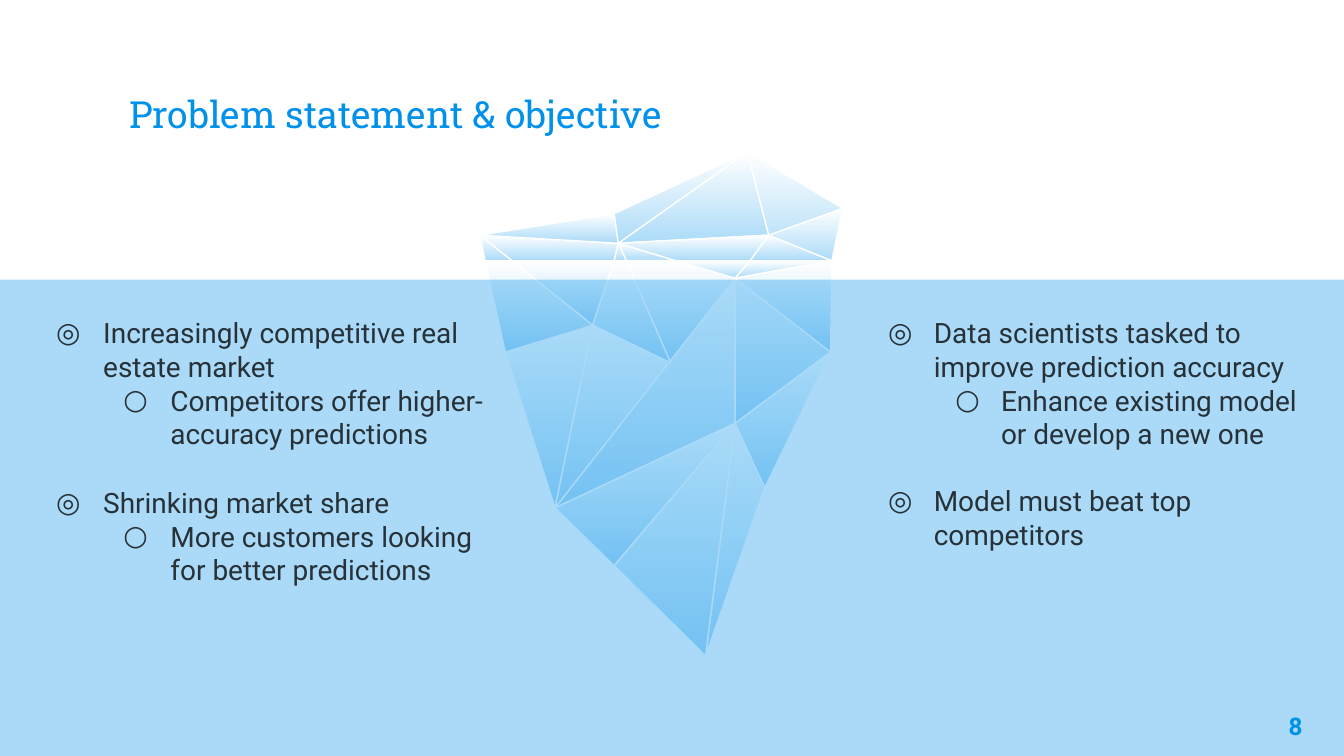
from typing import NamedTuple

from lxml import etree
from pptx import Presentation
from pptx import util as u
from pptx.dml.color import RGBColor
from pptx.enum import shapes, text
from pptx.oxml.ns import qn

# Places are counted in square cells, 1000 to the slide's width.
CELL = u.Inches(0.01)
SLIDE_WIDTH = CELL * 1000
SLIDE_HEIGHT = SLIDE_WIDTH * 9 // 16
WATER_SHARE = 0.63

WHITE = RGBColor(0xFF, 0xFF, 0xFF)
ICE = RGBColor(0xAC, 0xDB, 0xF8)
BLUE = RGBColor(0x00, 0x91, 0xEA)
DARK = RGBColor(0x26, 0x32, 0x38)

BODY_FONT, TITLE_FONT = "Roboto", "Roboto Slab"
BULLETS = ("◎", "○")
WATERLINE = 194


class Area(NamedTuple):
    column: int
    row: int
    columns: int
    rows: int


class Point(NamedTuple):
    column: int
    row: int


class Item(NamedTuple):
    words: str
    level: int = 0
    gap: int = 0


class BulletList(NamedTuple):
    area: Area
    hanging: float
    items: tuple[Item, ...]


POINTS = {
    "peak": Point(556, 113), "east": Point(627, 155), "shoulder": Point(457, 159),
    "west": Point(357, 175), "ridge": Point(572, 175), "crest": Point(460, 181),
    **{f"w{number}": Point(column, WATERLINE)
       for number, column in enumerate((361, 381, 457, 466, 503, 558, 619), 1)},
    "notch": Point(547, 207), "hollow": Point(441, 242), "middle": Point(499, 270),
    "left": Point(376, 262), "right": Point(618, 262), "heart": Point(547, 315),
    "flank": Point(569, 363), "corner": Point(413, 378), "lower": Point(457, 421),
    "tip": Point(525, 488),
}

FACETS = (
    "w7 west w2",
    "peak crest ridge",
    "peak east w7 ridge",
    "west w2 w1",
    "crest w3 w2 west",
    "peak crest west shoulder",
    "ridge w7 w6",
    "w4 crest w5",
    "west w2 w1",
    "shoulder crest west",
    "east ridge w7",
    "w4 crest w3",
    "w7 right heart notch",
    "hollow corner left",
    "w3 hollow w2",
    "heart flank tip",
    "w7 notch w6",
    "middle w4 w5 notch",
    "middle hollow corner",
    "notch corner heart",
    "w2 hollow left w1",
    "w7 notch right",
    "hollow middle w4 w3",
    "corner heart lower",
    "lower tip heart",
    "right flank heart",
    "crest ridge w6 w5",
    "notch w6 w5",
)

LISTS = (
    BulletList(Area(17, 225, 363, 278), 0.35, (
        Item("Increasingly competitive real estate market"),
        Item("Competitors offer higher-accuracy predictions", 1),
        Item("Shrinking market share", gap=19),
        Item("More customers looking for better predictions", 1),
    )),
    BulletList(Area(635, 225, 348, 238), 0.34, (
        Item("Data scientists tasked to improve prediction accuracy"),
        Item("Enhance existing model or develop a new one", 1),
        Item("Model must beat top competitors", gap=18),
    )),
)


def place(shape, area: Area) -> None:
    shape.left, shape.top, shape.width, shape.height = (CELL * cells for cells in area)


def prepare_frame(shape, anchor=text.MSO_ANCHOR.TOP):
    frame = shape.text_frame
    frame.word_wrap = True
    frame.auto_size = text.MSO_AUTO_SIZE.NONE
    frame.vertical_anchor = anchor
    frame.margin_left = frame.margin_right = u.Inches(0.1)
    frame.margin_top = frame.margin_bottom = u.Inches(0.1)
    return frame


def add_run(paragraph, words: str, size: int, color: RGBColor,
            font: str = BODY_FONT, bold: bool = False) -> None:
    run = paragraph.add_run()
    run.text = words
    run.font.name, run.font.size, run.font.bold = font, u.Pt(size), bold
    run.font.color.rgb = color


def add_text_frame(slide, area: Area):
    return prepare_frame(slide.shapes.add_textbox(*(CELL * cells for cells in area)))


def add_facet(group, names: str) -> None:
    start, *rest = (POINTS[name] for name in names.split())
    builder = group.shapes.build_freeform(*start, scale=CELL)
    builder.add_line_segments(rest, close=True)
    facet = builder.convert_to_shape()
    facet.shadow.inherit = False
    facet.fill.gradient()
    facet.fill.gradient_angle = 270
    for stop, position, color in zip(facet.fill.gradient_stops, (0, 1), (WHITE, ICE)):
        stop.position = position
        stop.color.rgb = color
    facet.line.color.rgb = WHITE
    facet.line.width = u.Pt(0.75)


def add_water(slide) -> None:
    depth = int(SLIDE_HEIGHT * WATER_SHARE)
    water = slide.shapes.add_shape(
        shapes.MSO_SHAPE.RECTANGLE, 0, SLIDE_HEIGHT - depth, SLIDE_WIDTH, depth)
    water.shadow.inherit = False
    water.fill.solid()
    water.fill.fore_color.rgb = BLUE
    water.line.fill.background()
    color = water._element.spPr.find(qn("a:solidFill")).find(qn("a:srgbClr"))
    etree.SubElement(color, qn("a:alpha"), val="33000")


def set_bullet(paragraph, level: int, hanging: float) -> None:
    paragraph.level = level
    properties = paragraph._p.get_or_add_pPr()
    properties.set("marL", str(u.Inches(0.5 * (level + 1))))
    properties.set("indent", str(-u.Inches(hanging)))
    color = etree.SubElement(properties, qn("a:buClr"))
    etree.SubElement(color, qn("a:srgbClr"), val=str(DARK))
    etree.SubElement(properties, qn("a:buFont"), typeface=BODY_FONT)
    etree.SubElement(properties, qn("a:buChar"), char=BULLETS[level])


def add_bullet_list(slide, bullet_list: BulletList) -> None:
    frame = add_text_frame(slide, bullet_list.area)
    for index, item in enumerate(bullet_list.items):
        paragraph = frame.add_paragraph() if index else frame.paragraphs[0]
        set_bullet(paragraph, item.level, bullet_list.hanging)
        paragraph.space_before = u.Pt(item.gap)
        add_run(paragraph, item.words, 15, DARK)


def main() -> None:
    presentation = Presentation()
    presentation.slide_width, presentation.slide_height = SLIDE_WIDTH, SLIDE_HEIGHT
    slide = presentation.slides.add_slide(presentation.slide_layouts[5])

    title = slide.shapes.title
    place(title, Area(86, 34, 828, 77))
    paragraph = prepare_frame(title, text.MSO_ANCHOR.BOTTOM).paragraphs[0]
    paragraph.alignment = text.PP_ALIGN.LEFT
    add_run(paragraph, "Problem statement & objective", 20, BLUE, TITLE_FONT)

    iceberg = slide.shapes.add_group_shape()
    for names in FACETS:
        add_facet(iceberg, names)
    add_water(slide)

    paragraph = add_text_frame(slide, Area(919, 519, 60, 43)).paragraphs[0]
    paragraph.alignment = text.PP_ALIGN.RIGHT
    add_run(paragraph, "8", 13, BLUE, bold=True)

    for bullet_list in LISTS:
        add_bullet_list(slide, bullet_list)
    presentation.save("out.pptx")


if __name__ == "__main__":
    main()
